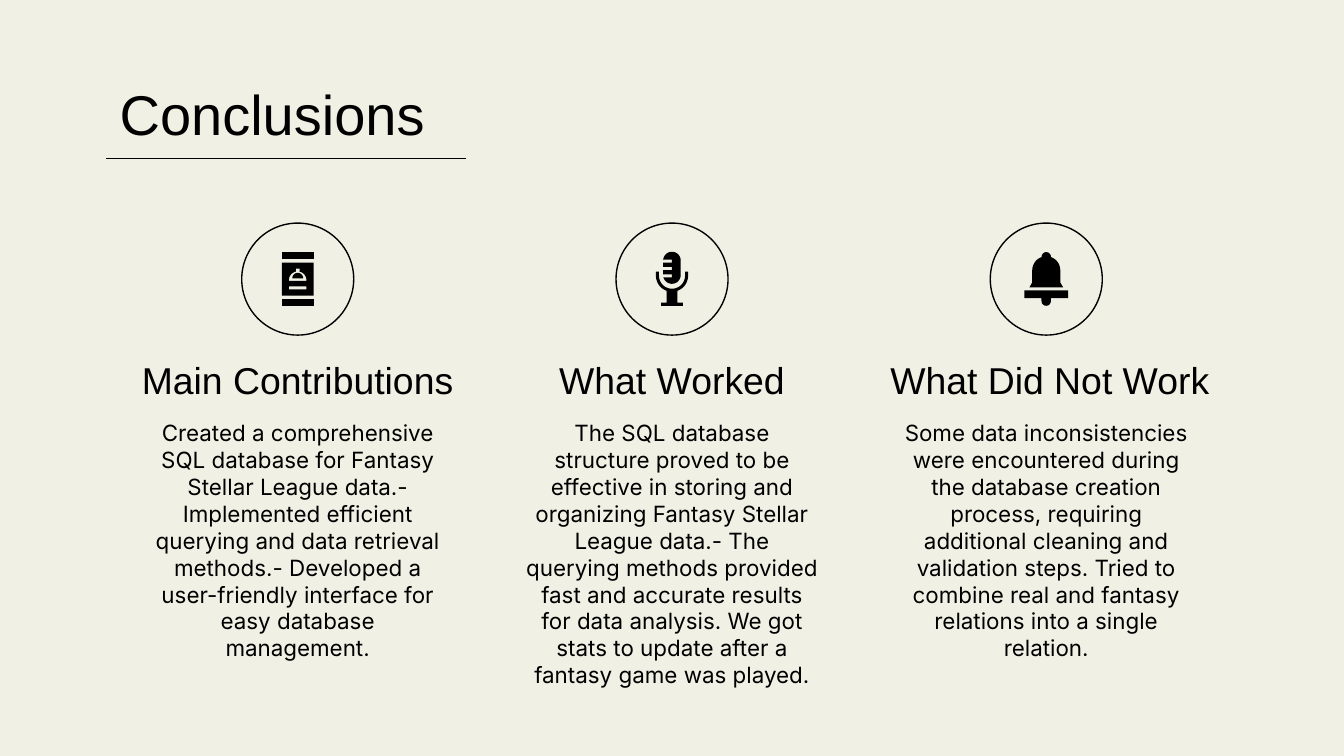
from math import cos, radians, sin

from lxml import etree
from pptx import Presentation
from pptx.dml.color import RGBColor
from pptx.enum.shapes import MSO_CONNECTOR, MSO_SHAPE
from pptx.enum.text import MSO_ANCHOR, MSO_AUTO_SIZE, PP_ALIGN
from pptx.oxml.ns import qn
from pptx.util import Pt

ROUNDED = MSO_SHAPE.ROUNDED_RECTANGLE
STRAIGHT = MSO_CONNECTOR.STRAIGHT
TOP, BOTTOM = MSO_ANCHOR.TOP, MSO_ANCHOR.BOTTOM
LEFT, CENTER = PP_ALIGN.LEFT, PP_ALIGN.CENTER
NO_AUTOFIT = MSO_AUTO_SIZE.NONE

COLORS = {"background": "F0F1E4", "ink": "000000"}
INK = RGBColor.from_string(COLORS["ink"])
TITLE_FONT = {"name": "Arial", "size": Pt(30), "bold": False}
HEADING_FONT = {"name": "Arial", "size": Pt(20), "bold": False}
BODY_FONT = {"name": "Inter", "size": Pt(12), "bold": False}

SLIDE_WIDTH, SLIDE_HEIGHT = 720, 405
COLUMN_WIDTH, COLUMN_STEP = 171.4, 200.5
COLUMN_TOP = 119.5
BADGE_SIZE = 60
LINE_WIDTH = 0.75


def arc(center_y, radius, start, end, steps=16):
    """Return points on a circle centred on the icon's vertical axis."""
    angles = [radians(start + (end - start) * step / steps) for step in range(steps + 1)]
    return [(radius * cos(angle), center_y + radius * sin(angle)) for angle in angles]


def bar(half_width, top, bottom):
    """Return a rectangle centred on the icon's vertical axis."""
    return [(-half_width, top), (half_width, top), (half_width, bottom), (-half_width, bottom)]


def can_icon():
    """Return the parts of a food can, each a list of contours."""
    dish = [(-1, -5.6), (1, -5.6), *arc(0.6, 4.7, 282, 360),
            (4.7, 1), (-4.7, 1), *arc(0.6, 4.7, 180, 258)]
    body = [bar(8.5, -8.8, 8.8), dish, bar(4.7, 3.9, 5.5)]
    return [[bar(8.5, -14.5, -10.7)], body, [arc(-0.4, 2.9, 180, 360)], [bar(8.5, 10.7, 14.5)]]


def microphone_icon():
    """Return the parts of a microphone, each a list of contours."""
    stand = [(7, -4), *arc(-1.8, 7, 0, 180), (-7, -4), (-8.6, -4),
             *arc(-1.8, 8.6, 180, 110), (-2.9, 12.6), (-5.8, 12.6), (-5.8, 14.4),
             (5.8, 14.4), (5.8, 12.6), (2.9, 12.6), *arc(-1.8, 8.6, 70, 0), (8.6, -4)]
    head = arc(-9.9, 4.7, 186, 360) + arc(-2.1, 4.7, 0, 165)
    for notch in (2, 1, 0):
        top = -10.4 + 3.95 * notch
        head += [(-4.7, top + 1.7), (0, top + 1.7), (0, top), (-4.7, top)]
    return [[stand], [head]]


def bell_icon():
    """Return the parts of a bell, each a list of contours."""
    dome = [(-9, 4.4), (-7.5, 1.8), *arc(-4.7, 7.5, 180, 250), *arc(-11.9, 2.5, 180, 360),
            *arc(-4.7, 7.5, 290, 360), (7.5, 1.8), (9, 4.4)]
    rim = [(-11.7, 6), (11.7, 6), (11.7, 10.2), (2.5, 10.2),
           *arc(11.8, 2.5, 0, 180), (-2.5, 10.2), (-11.7, 10.2)]
    return [[dome], [rim]]


COLUMNS = [
    ("Main Contributions", 205, 0, can_icon,
     "Created a comprehensive SQL database for Fantasy Stellar League data.- Implemented "
     "efficient querying and data retrieval methods.- Developed a user-friendly interface "
     "for easy database management.", 118),
    ("What Worked", COLUMN_WIDTH, 0, microphone_icon,
     "The SQL database structure proved to be effective in storing and organizing Fantasy "
     "Stellar League data.- The querying methods provided fast and accurate results for data "
     "analysis. We got stats to update after a fantasy game was played.", 118),
    ("What Did Not Work", 201, 2, bell_icon,
     "Some data inconsistencies were encountered during the database creation process, "
     "requiring additional cleaning and validation steps. Tried to combine real and fantasy "
     "relations into a single relation.", 141),
]


def place(shape, left, top, width, height):
    """Move and size a shape, in points."""
    values = {"left": left, "top": top, "width": width, "height": height}
    for name, value in values.items():
        setattr(shape, name, Pt(value))


def write_text(shape, text, font, alignment, anchor):
    """Fill a shape with one formatted paragraph."""
    frame = shape.text_frame
    settings = {"text": text, "word_wrap": True, "auto_size": NO_AUTOFIT,
                "vertical_anchor": anchor}
    for side in ("left", "top", "right", "bottom"):
        settings[f"margin_{side}"] = Pt(7.2)
    for name, value in settings.items():
        setattr(frame, name, value)
    paragraph = frame.paragraphs[0]
    paragraph.alignment = alignment
    for name, value in font.items():
        setattr(paragraph.font, name, value)
    paragraph.font.color.rgb = INK


def add_text(slide, box, text, font, anchor):
    """Add a centred text box."""
    shape = slide.shapes.add_textbox(*map(Pt, box))
    write_text(shape, text, font, CENTER, anchor)


def add_icon(slide, center_x, center_y, parts):
    """Draw an icon as a group of solid outlines around a centre."""
    group = slide.shapes.add_group_shape()
    for contours in parts:
        outlines = [[(Pt(center_x + x), Pt(center_y + y)) for x, y in contour]
                    for contour in contours]
        builder = group.shapes.build_freeform(*outlines[0][0])
        builder.add_line_segments(outlines[0][1:])
        for outline in outlines[1:]:
            builder.move_to(*outline[0])
            builder.add_line_segments(outline[1:])
        shape = builder.convert_to_shape()
        shape.shadow.inherit = False
        shape.fill.solid()
        shape.fill.fore_color.rgb = INK
        shape.line.fill.background()


def add_header(slide, left, top, width, height):
    """Place the title with the rule beneath it."""
    title = slide.shapes.title
    place(title, left, top, width, height)
    write_text(title, "Conclusions", TITLE_FONT, LEFT, TOP)
    rule_y = top + height + 4.2
    rule = slide.shapes.add_connector(STRAIGHT, Pt(left + 193), Pt(rule_y), Pt(left), Pt(rule_y))
    rule.line.color.rgb = INK
    rule.line.width = Pt(LINE_WIDTH)
    etree.SubElement(rule.element.spPr, qn("a:effectLst"))


def add_column(slide, left, top, width, column):
    """Place a badge, a heading and a paragraph in one column."""
    heading, heading_width, heading_shift, icon, body, body_height = column
    center = left + width / 2
    badge = slide.shapes.add_shape(ROUNDED, Pt(center - BADGE_SIZE / 2), Pt(top),
                                   Pt(BADGE_SIZE), Pt(BADGE_SIZE))
    badge.adjustments[0] = 0.5
    badge.shadow.inherit = False
    badge.fill.background()
    badge.line.color.rgb = INK
    badge.line.width = Pt(LINE_WIDTH)
    add_icon(slide, center, top + BADGE_SIZE / 2, icon())
    heading_left = center - heading_width / 2 + heading_shift
    add_text(slide, (heading_left, top + 67.7, heading_width, 35.3), heading, HEADING_FONT, BOTTOM)
    add_text(slide, (left, top + 98, width, body_height), body, BODY_FONT, TOP)


def main():
    """Build and save the conclusions slide."""
    presentation = Presentation()
    presentation.slide_width, presentation.slide_height = Pt(SLIDE_WIDTH), Pt(SLIDE_HEIGHT)
    slide = presentation.slides.add_slide(presentation.slide_layouts.get_by_name("Title Only"))
    slide.background.fill.solid()
    slide.background.fill.fore_color.rgb = RGBColor.from_string(COLORS["background"])
    add_header(slide, 56.9, 35.3, 607, 45.4)
    first_left = (SLIDE_WIDTH - COLUMN_WIDTH) / 2 - COLUMN_STEP
    for index, column in enumerate(COLUMNS):
        add_column(slide, first_left + index * COLUMN_STEP, COLUMN_TOP, COLUMN_WIDTH, column)
    presentation.save("out.pptx")


if __name__ == "__main__":
    main()
